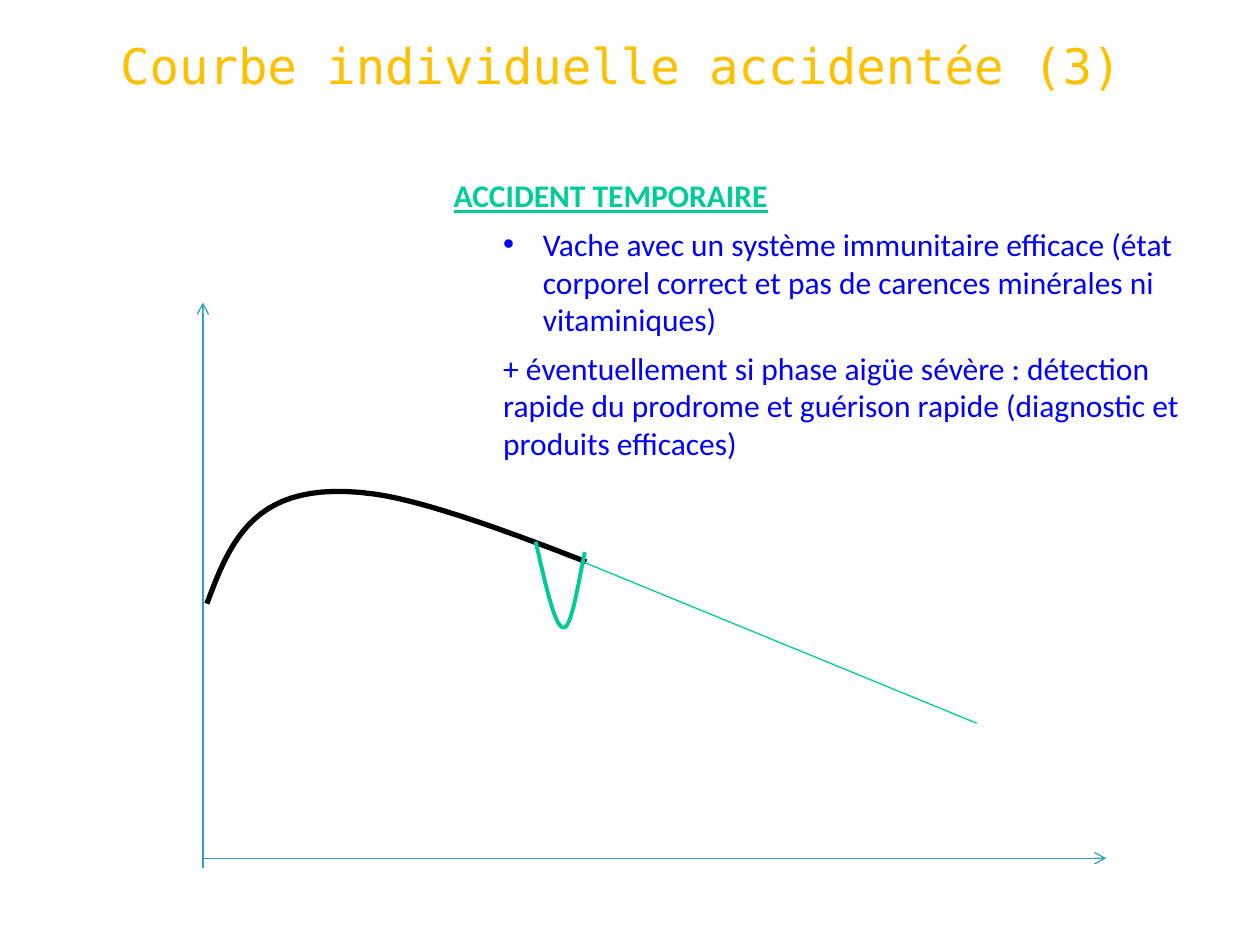
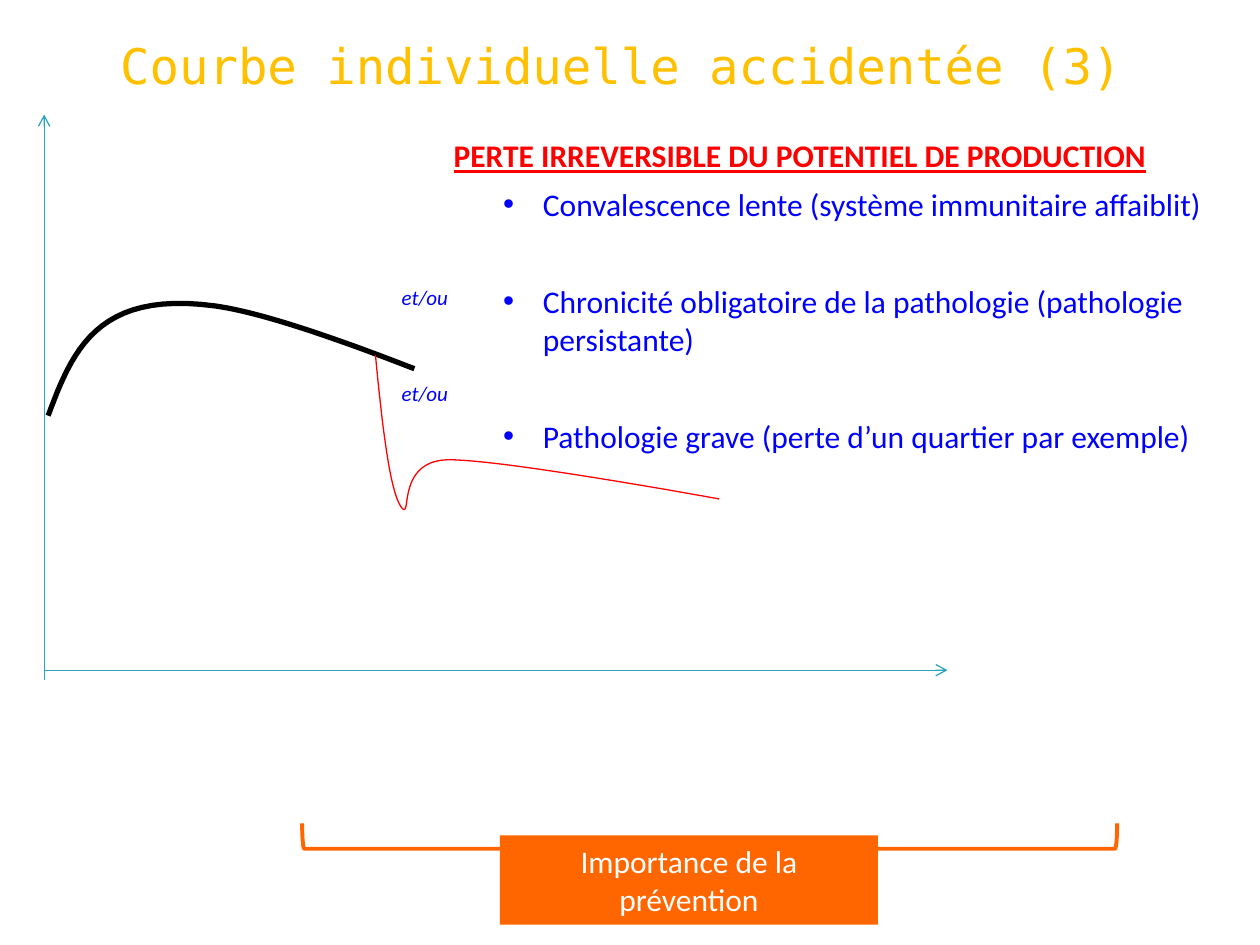
from dataclasses import dataclass

from lxml import etree
from pptx import Presentation
from pptx.dml.color import RGBColor
from pptx.enum import shapes, text
from pptx.oxml import ns
from pptx.util import Cm, Pt


@dataclass(frozen=True)
class Theme:
    gold: str = "FFC000"
    axis: str = "2DA2BF"
    black: str = "000000"
    green: str = "00CC99"
    red: str = "FF0000"
    blue: str = "0000FF"
    orange: str = "FF6600"
    white: str = "FFFFFF"
    title_font: str = "DejaVu Sans Mono"
    body_font: str = "Calibri"
    title_size: int = 28
    body_size: int = 18
    note_size: int = 12


THEME = Theme()
TITLE = "Courbe individuelle accidentée (3)"
LACTATION = [(0.08, -5.13), (0.56, -6.4), (1.04, -7.67), (3.45, -7.34),
             (5.87, -7.01), (12.67, -3.84), (14.53, -3.12)]
TEMPORARY_DIP = [(10.8, 10.92), (11, 11.79), (11.18, 12.62), (11.35, 12.65),
                 (11.51, 12.7), (11.63, 11.91), (11.79, 11.13)]
LASTING_DROP = [(7.57, 7.16), (7.7, 8.51), (7.85, 9.86), (8.08, 10.21),
                (8.33, 10.57), (7.95, 9.3), (9.02, 9.27),
                (10.08, 9.25), (14.5, 10.06), (14.5, 10.06)]


def rgb(code):
    return RGBColor.from_string(code)


def place(shape, *box):
    shape.left, shape.top, shape.width, shape.height = map(Cm, box)


def add_run(paragraph, words, color, size, font=THEME.body_font, **style):
    run = paragraph.add_run()
    run.text = words
    run.font.name = font
    run.font.size = Pt(size)
    run.font.color.rgb = rgb(color)
    for name, value in style.items():
        setattr(run.font, name, value)


def set_outline(shape, color, width):
    shape.line.color.rgb = rgb(color)
    shape.line.width = Pt(width)


def add_line(slide, start, end, color, arrow=False):
    line = slide.shapes.add_connector(
        shapes.MSO_CONNECTOR.STRAIGHT, *map(Cm, (*start, *end)))
    set_outline(line, color, 0.75)
    if arrow:
        etree.SubElement(line.line._get_or_add_ln(), ns.qn("a:tailEnd"), type="arrow")
    etree.SubElement(line._element.spPr, ns.qn("a:effectLst"))


def bezier_point(controls, t):
    weights = ((1 - t) ** 3, 3 * t * (1 - t) ** 2, 3 * t ** 2 * (1 - t), t ** 3)
    return tuple(sum(w * point[axis] for w, point in zip(weights, controls))
                 for axis in (0, 1))


def add_curve(slide, controls, color, width, last_share=1, steps=24):
    points = [controls[0]]
    final = len(controls) - 4
    for first in range(0, final + 1, 3):
        share = last_share if first == final else 1
        points += [bezier_point(controls[first:first + 4], share * step / steps)
                   for step in range(1, steps + 1)]
    emu = [(Cm(x), Cm(y)) for x, y in points]
    builder = slide.shapes.build_freeform(*emu[0])
    builder.add_line_segments(emu[1:], close=False)
    curve = builder.convert_to_shape()
    curve.fill.background()
    set_outline(curve, color, width)
    curve.shadow.inherit = False


def add_lactation_graph(slide, x, y, last_share):
    add_line(slide, (x, y + 0.2), (x, y - 11.2), THEME.axis, arrow=True)
    add_line(slide, (x, y), (x + 18.21, y), THEME.axis, arrow=True)
    add_curve(slide, [(x + dx, y + dy) for dx, dy in LACTATION],
              THEME.black, 3, last_share)


def add_titled_slide(deck):
    slide = deck.slides.add_slide(deck.slide_layouts[1])
    title = slide.shapes.title
    place(title, 1.09, 0.33, 22.86, 1.96)
    title.text_frame.vertical_anchor = text.MSO_ANCHOR.MIDDLE
    paragraph = title.text_frame.paragraphs[0]
    paragraph.alignment = text.PP_ALIGN.CENTER
    add_run(paragraph, TITLE, THEME.gold, THEME.title_size, THEME.title_font)
    return slide


def format_paragraph(paragraph, margin=0, hanging=0, after=6):
    properties = paragraph._p.get_or_add_pPr()
    properties.set("marL", str(Cm(margin)))
    properties.set("indent", str(-Cm(hanging)))
    if hanging:
        etree.SubElement(properties, ns.qn("a:buChar"), char="•")
    else:
        etree.SubElement(properties, ns.qn("a:buNone"))
    paragraph.space_before = Pt(0)
    paragraph.space_after = Pt(after)


def fill_body(slide, box, heading, color, bullets, bullet_gap=6, addition=None):
    body = slide.placeholders[1]
    place(body, *box)
    frame = body.text_frame
    frame.auto_size = text.MSO_AUTO_SIZE.NONE
    frame.vertical_anchor = text.MSO_ANCHOR.TOP
    format_paragraph(frame.paragraphs[0])
    add_run(frame.paragraphs[0], heading, color, THEME.body_size,
            bold=True, underline=True)
    for words in bullets:
        bullet = frame.add_paragraph()
        format_paragraph(bullet, 1.8, 0.8, bullet_gap)
        add_run(bullet, words, THEME.blue, THEME.body_size)
    if addition:
        paragraph = frame.add_paragraph()
        format_paragraph(paragraph, 1)
        add_run(paragraph, addition, THEME.blue, THEME.body_size)


def add_and_or(slide, top):
    note = slide.shapes.add_textbox(*map(Cm, (7.37, top, 2.39, 0.76)))
    note.text_frame.word_wrap = True
    paragraph = note.text_frame.paragraphs[0]
    paragraph.alignment = text.PP_ALIGN.CENTER
    add_run(paragraph, "et/ou", THEME.blue, THEME.note_size, italic=True)


def add_bracket(slide):
    bracket = slide.shapes.add_shape(
        shapes.MSO_SHAPE.RIGHT_BRACKET, *map(Cm, (14.05, 8.64, 0.51, 16.43)))
    bracket.rotation = 90
    bracket.fill.background()
    set_outline(bracket, THEME.orange, 2.25)
    bracket.shadow.inherit = False


def add_banner(slide, words):
    banner = slide.shapes.add_shape(
        shapes.MSO_SHAPE.RECTANGLE, *map(Cm, (10.08, 16.84, 7.62, 1.8)))
    banner.fill.solid()
    banner.fill.fore_color.rgb = rgb(THEME.orange)
    banner.line.fill.background()
    banner.shadow.inherit = False
    banner.text_frame.word_wrap = True
    paragraph = banner.text_frame.paragraphs[0]
    paragraph.alignment = text.PP_ALIGN.CENTER
    add_run(paragraph, words, THEME.white, THEME.body_size)


def build_temporary_accident(deck):
    slide = add_titled_slide(deck)
    add_lactation_graph(slide, 4.09, 17.3, 0.39)
    add_curve(slide, TEMPORARY_DIP, THEME.green, 2.25)
    add_line(slide, (11.76, 11.33), (19.69, 14.58), THEME.green)
    fill_body(slide, (8.89, 3.43, 16, 6.07), "ACCIDENT TEMPORAIRE", THEME.green,
              ["Vache avec un système immunitaire efficace (état corporel correct "
               "et pas de carences minérales ni vitaminiques)"],
              addition="+ éventuellement si phase aigüe sévère : détection rapide du "
                       "prodrome et guérison rapide (diagnostic et produits efficaces)")


def build_irreversible_loss(deck):
    slide = add_titled_slide(deck)
    add_lactation_graph(slide, 0.89, 13.51, 0.37)
    add_curve(slide, LASTING_DROP, THEME.red, 0.75)
    add_bracket(slide)
    add_banner(slide, "Importance de la prévention")
    fill_body(slide, (8.89, 2.62, 16, 7.7),
              "PERTE IRREVERSIBLE DU POTENTIEL DE PRODUCTION", THEME.red,
              ["Convalescence lente (système immunitaire affaiblit)",
               "Chronicité obligatoire de la pathologie (pathologie persistante)",
               "Pathologie grave (perte d’un quartier par exemple)"],
              bullet_gap=34)
    for top in (5.61, 7.54):
        add_and_or(slide, top)


def main():
    deck = Presentation()
    deck.slide_width, deck.slide_height = Cm(25.4), Cm(19.05)
    build_temporary_accident(deck)
    build_irreversible_loss(deck)
    deck.save("out.pptx")


if __name__ == "__main__":
    main()
